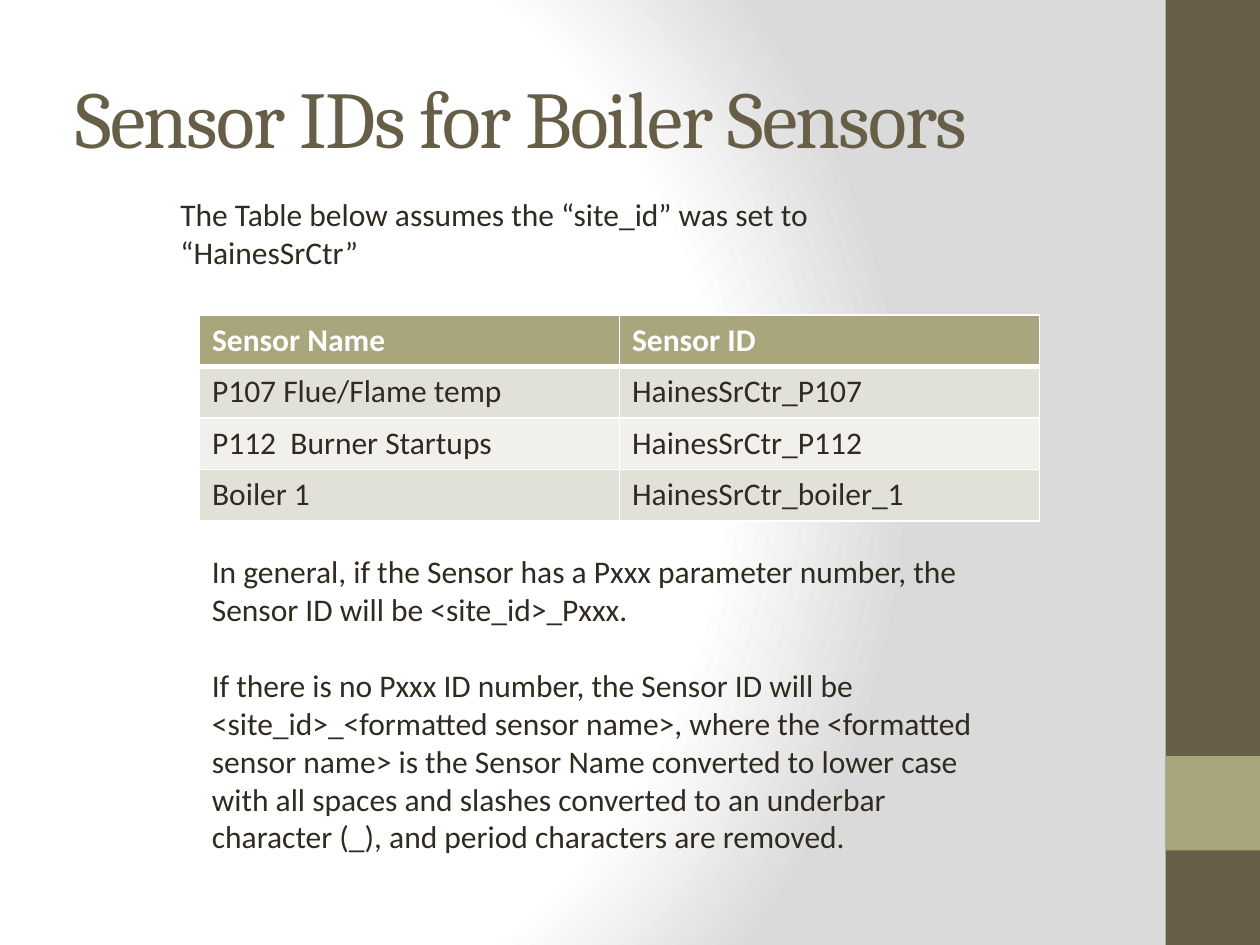
"""Build the slide that lists sensor IDs for boiler sensors."""
from dataclasses import dataclass

from lxml import etree
from pptx import Presentation
from pptx.dml.color import RGBColor
from pptx.enum.shapes import MSO_SHAPE
from pptx.enum.text import MSO_ANCHOR
from pptx.oxml import parse_xml
from pptx.oxml.ns import nsdecls, qn
from pptx.util import Pt

RECT = MSO_SHAPE.RECTANGLE
TOP, MIDDLE = MSO_ANCHOR.TOP, MSO_ANCHOR.MIDDLE

EMU_PER_PX = 7620
SLIDE_W, SLIDE_H = 1200, 900
ROW_H = 49
LINE_GAP = 22

WHITE = RGBColor(0xFF, 0xFF, 0xFF)
GREY = RGBColor(0xDA, 0xDA, 0xDA)
BROWN = RGBColor(0x67, 0x5E, 0x47)
OLIVE = RGBColor(0xA9, 0xA5, 0x7C)
INK = RGBColor(0x2F, 0x2B, 0x20)
BAND_DARK = RGBColor(0xE2, 0xE1, 0xD7)
BAND_LIGHT = RGBColor(0xF1, 0xF0, 0xEC)


@dataclass(frozen=True)
class Box:
    x: int
    y: int
    w: int
    h: int

    def emu(self) -> list[int]:
        return [px(v) for v in (self.x, self.y, self.w, self.h)]


@dataclass(frozen=True)
class Bar:
    box: Box
    color: RGBColor


@dataclass(frozen=True)
class Note:
    box: Box
    paragraphs: tuple[str, ...]


@dataclass(frozen=True)
class Sensor:
    name: str
    sensor_id: str


BARS = (
    Bar(Box(1110, 0, 90, 900), BROWN),
    Bar(Box(1110, 720, 90, 90), OLIVE),
)
TITLE_BOX = Box(60, 36, 1000, 150)
TABLE_BOX = Box(190, 300, 800, 4 * ROW_H)
HEADER = Sensor("Sensor Name", "Sensor ID")
SENSORS = (
    Sensor("P107 Flue/Flame temp", "HainesSrCtr_P107"),
    Sensor("P112  Burner Startups", "HainesSrCtr_P112"),
    Sensor("Boiler 1", "HainesSrCtr_boiler_1"),
)
NOTES = (
    Note(Box(160, 180, 670, 85), (
        "The Table below assumes the “site_id” was set to “HainesSrCtr”",
    )),
    Note(Box(190, 520, 780, 302), (
        "In general, if the Sensor has a Pxxx parameter number, the Sensor ID "
        "will be <site_id>_Pxxx.",
        "If there is no Pxxx ID number, the Sensor ID will be "
        "<site_id>_<formatted sensor name>, where the <formatted sensor name> "
        "is the Sensor Name converted to lower case with all spaces and slashes "
        "converted to an underbar character (_), and period characters are "
        "removed.",
    )),
)


def px(value: int) -> int:
    return value * EMU_PER_PX


def write(tf, *paragraphs: str, size: int = 18, font: str = "Calibri",
          color: RGBColor = INK, bold: bool = False, spacing: int = 0,
          anchor=TOP) -> None:
    tf.word_wrap = True
    tf.vertical_anchor = anchor
    for i, text in enumerate(paragraphs):
        p = tf.add_paragraph() if i else tf.paragraphs[0]
        p.space_before = Pt(LINE_GAP if i else 0)
        r = p.add_run()
        r.text = text
        r.font.size, r.font.name, r.font.bold = Pt(size), font, bold
        r.font.color.rgb = color
        if spacing:
            r.font._element.set("spc", str(spacing * 100))


def set_background(s) -> None:
    stops = "".join(
        f'<a:gs pos="{pos * 1000}"><a:srgbClr val="{color}"/></a:gs>'
        for pos, color in ((0, WHITE), (75, WHITE), (100, GREY)))
    s._element.cSld.insert(0, parse_xml(
        f'<p:bg {nsdecls("p", "a")}><p:bgPr><a:gradFill rotWithShape="1">'
        f'<a:gsLst>{stops}</a:gsLst><a:path path="circle">'
        '<a:fillToRect l="20000" t="50000" r="100000" b="50000"/></a:path>'
        '</a:gradFill><a:effectLst/></p:bgPr></p:bg>'))


def add_bar(s, bar: Bar) -> None:
    sp = s.shapes.add_shape(RECT, *bar.box.emu())
    sp.shadow.inherit = False
    sp.fill.solid()
    sp.fill.fore_color.rgb = bar.color
    sp.line.fill.background()


def add_text(s, box: Box, *paragraphs: str, **style) -> None:
    write(s.shapes.add_textbox(*box.emu()).text_frame, *paragraphs, **style)


def set_borders(cell, top: int, bottom: int) -> None:
    tc_pr = cell._tc.get_or_add_tcPr()
    for side, width in (("L", 1), ("R", 1), ("T", top), ("B", bottom)):
        ln = etree.SubElement(tc_pr, qn(f"a:ln{side}"), w=str(Pt(width)))
        fill = etree.SubElement(ln, qn("a:solidFill"))
        etree.SubElement(fill, qn("a:srgbClr"), val=str(WHITE))


def add_sensor_table(s, box: Box, sensors: tuple[Sensor, ...]) -> None:
    rows = (HEADER, *sensors)
    table = s.shapes.add_table(len(rows), 2, *box.emu()).table
    for i, sensor in enumerate(rows):
        table.rows[i].height = px(ROW_H)
        is_header = i == 0
        band = OLIVE if is_header else BAND_DARK if i % 2 else BAND_LIGHT
        for j, text in enumerate((sensor.name, sensor.sensor_id)):
            cell = table.cell(i, j)
            set_borders(cell, top=3 if i == 1 else 1, bottom=3 if is_header else 1)
            cell.fill.solid()
            cell.fill.fore_color.rgb = band
            write(cell.text_frame, text, bold=is_header,
                  color=WHITE if is_header else INK)


def main() -> None:
    prs = Presentation()
    prs.slide_width, prs.slide_height = px(SLIDE_W), px(SLIDE_H)
    s = prs.slides.add_slide(prs.slide_layouts[6])
    set_background(s)
    for bar in BARS:
        add_bar(s, bar)
    add_text(s, TITLE_BOX, "Sensor IDs for Boiler Sensors", size=46,
             font="Cambria", color=BROWN, spacing=-1, anchor=MIDDLE)
    add_sensor_table(s, TABLE_BOX, SENSORS)
    for note in NOTES:
        add_text(s, note.box, *note.paragraphs)
    prs.save("out.pptx")


if __name__ == "__main__":
    main()
